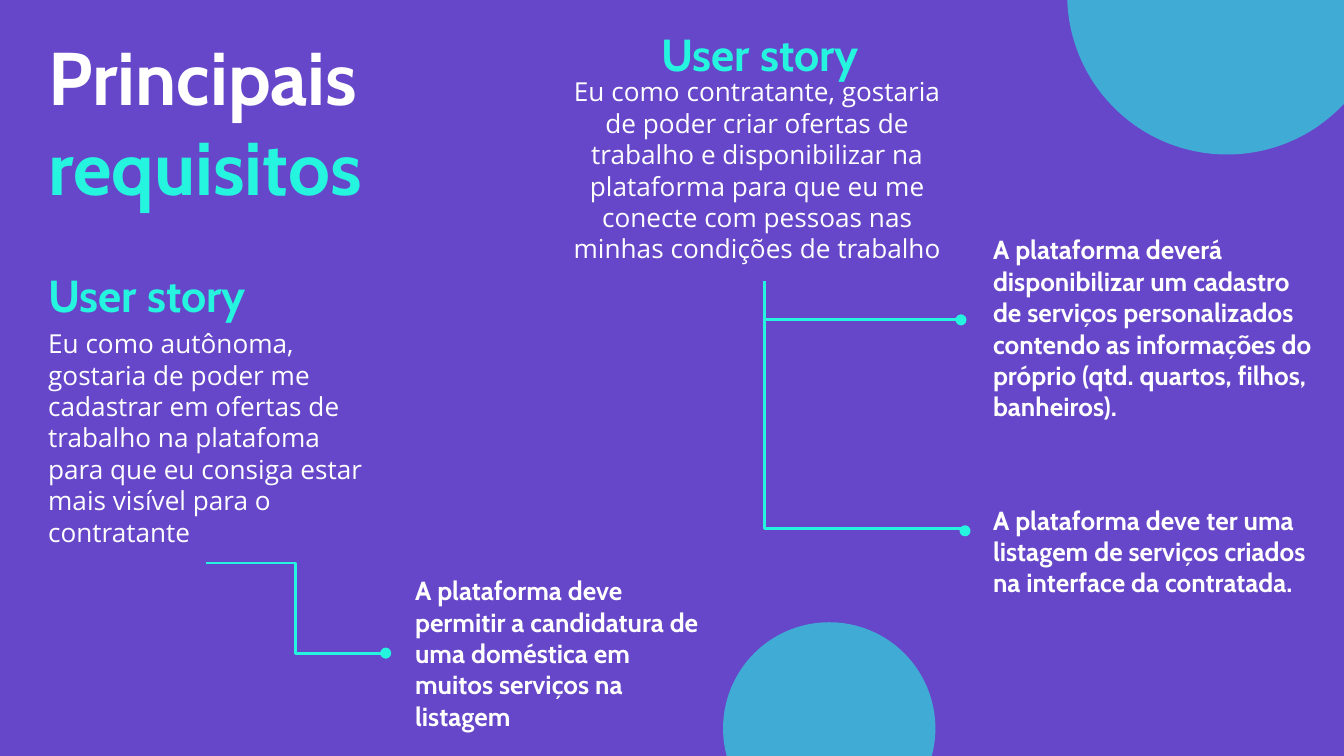
import copy
from dataclasses import dataclass

import pptx
import pptx.dml.color
import pptx.enum.shapes
import pptx.enum.text
import pptx.oxml
import pptx.oxml.ns
import pptx.util
from pptx.enum.text import MSO_ANCHOR, PP_ALIGN

COLUMNS = 100
SLIDE_WIDTH = pptx.util.Inches(10)
SLIDE_HEIGHT = pptx.util.Inches(5.625)


@dataclass(frozen=True)
class Theme:
    background: str = "6747C9"
    accent: str = "25F5DF"
    text: str = "FFFFFF"
    heading_font: str = "Cabin"
    body_font: str = "Open Sans"
    title_size: int = 40
    heading_size: int = 24
    body_size: int = 14
    line_width: float = 1.5
    circle_opacity: int = 58


THEME = Theme()


@dataclass(frozen=True)
class Style:
    font: str
    size: int
    color: str
    bold: bool


TITLE = Style(THEME.heading_font, THEME.title_size, THEME.text, True)
HEADING = Style(THEME.heading_font, THEME.heading_size, THEME.accent, True)
STORY = Style(THEME.body_font, THEME.body_size, THEME.text, False)
REQUIREMENT = Style(THEME.heading_font, THEME.body_size, THEME.text, True)


@dataclass(frozen=True)
class Area:
    column: float
    row: float
    columns: float
    rows: float

    def lengths(self) -> list[int]:
        return [grid(n) for n in (self.column, self.row, self.columns, self.rows)]


@dataclass(frozen=True)
class TextBlock:
    text: str
    area: Area
    style: Style
    alignment: PP_ALIGN = PP_ALIGN.LEFT


@dataclass(frozen=True)
class Branch:
    start: tuple[float, float]
    end: tuple[float, float]
    bend: float = 0.5
    vertical_first: bool = False


CIRCLES = [Area(79.4, -12.3, 23.8, 23.8), Area(53.8, 46.3, 15.8, 15.8)]
TITLE_AREA = Area(2.6, 1.3, 84.4, 6.3)
BLOCKS = [
    TextBlock("User story", Area(44.8, 2.1, 23.5, 3.8), HEADING, PP_ALIGN.CENTER),
    TextBlock(
        "Eu como contratante, gostaria de poder criar ofertas de trabalho e disponibilizar "
        "na plataforma para que eu me conecte com pessoas nas minhas condições de trabalho",
        Area(41.2, 9.3, 30.3, 6.7), STORY, PP_ALIGN.CENTER),
    TextBlock(
        "A plataforma deverá disponibilizar um cadastro de serviços personalizados contendo "
        "as informações do próprio (qtd. quartos, filhos, banheiros).",
        Area(72.9, 22.8, 25.8, 3.2), REQUIREMENT),
    TextBlock(
        "A plataforma deve ter uma listagem de serviços criados na interface da contratada.",
        Area(72.9, 39.4, 25.8, 3.2), REQUIREMENT),
    TextBlock("User story", Area(2.6, 20, 23.5, 3.8), HEADING),
    TextBlock(
        "Eu como autônoma, gostaria de poder me cadastrar em ofertas de trabalho na platafoma "
        "para que eu consiga estar mais visível para o contratante",
        Area(2.6, 29.2, 26.1, 6.7), STORY),
    TextBlock(
        "A plataforma deve permitir a candidatura de uma doméstica em muitos serviços "
        "na listagem",
        Area(29.9, 47, 23.6, 3.2), REQUIREMENT),
]
BRANCHES = [
    Branch((56.9, 23.8), (71.5, 23.8)),
    Branch((56.9, 20.9), (71.8, 39.5), bend=0.99, vertical_first=True),
    Branch((15.3, 41.9), (28.7, 48.6)),
]


def grid(units: float) -> int:
    return round(SLIDE_WIDTH * units / COLUMNS)


def rgb(color: str) -> pptx.dml.color.RGBColor:
    return pptx.dml.color.RGBColor.from_string(color)


def add_element(parent, tag: str, **attributes: str):
    element = pptx.oxml.parse_xml(f"<{tag} {pptx.oxml.ns.nsdecls('a')}/>")
    for name, setting in attributes.items():
        element.set(name, setting)
    parent.append(element)
    return element


def style_run(run, style: Style) -> None:
    run.font.name = style.font
    run.font.size = pptx.util.Pt(style.size)
    run.font.bold = style.bold
    run.font.color.rgb = rgb(style.color)


def draw_circle(slide, area: Area) -> None:
    circle = slide.shapes.add_shape(
        pptx.enum.shapes.MSO_SHAPE.OVAL, *area.lengths())
    circle.shadow.inherit = False
    circle.fill.solid()
    circle.fill.fore_color.rgb = rgb(THEME.accent)
    circle.line.fill.background()
    color = circle._element.spPr.find(".//" + pptx.oxml.ns.qn("a:srgbClr"))
    add_element(color, "a:alpha", val=str(THEME.circle_opacity * 1000))


def draw_title(slide) -> None:
    title = slide.shapes.title
    title.left, title.top, title.width, title.height = TITLE_AREA.lengths()
    frame = title.text_frame
    frame.text = "Principais \vrequisitos"
    frame.vertical_anchor = MSO_ANCHOR.TOP
    frame.auto_size = pptx.enum.text.MSO_AUTO_SIZE.NONE
    frame.margin_left = frame.margin_right = grid(1)
    frame.margin_top = frame.margin_bottom = grid(1)
    paragraph = frame.paragraphs[0]
    paragraph.alignment = PP_ALIGN.LEFT
    for run in paragraph.runs:
        style_run(run, TITLE)
    line_break = paragraph._p.find(pptx.oxml.ns.qn("a:br"))
    line_break.append(copy.deepcopy(paragraph.runs[0]._r.rPr))
    paragraph.runs[1].font.color.rgb = rgb(THEME.accent)


def draw_block(slide, block: TextBlock) -> None:
    frame = slide.shapes.add_textbox(*block.area.lengths()).text_frame
    frame.word_wrap = True
    frame.vertical_anchor = MSO_ANCHOR.MIDDLE
    frame.margin_left = frame.margin_right = grid(1)
    frame.margin_top = frame.margin_bottom = grid(1)
    frame.text = block.text
    paragraph = frame.paragraphs[0]
    paragraph.alignment = block.alignment
    style_run(paragraph.runs[0], block.style)


def draw_branch(slide, branch: Branch) -> None:
    kinds = pptx.enum.shapes.MSO_CONNECTOR
    straight = branch.start[1] == branch.end[1]
    connector = slide.shapes.add_connector(
        kinds.STRAIGHT if straight else kinds.ELBOW,
        *map(grid, branch.start + branch.end))
    connector.line.color.rgb = rgb(THEME.accent)
    connector.line.width = pptx.util.Pt(THEME.line_width)
    properties = connector._element.spPr
    add_element(connector.line._get_or_add_ln(), "a:tailEnd", type="oval")
    add_element(properties, "a:effectLst")
    if not straight:
        adjustments = properties.find(".//" + pptx.oxml.ns.qn("a:avLst"))
        add_element(adjustments, "a:gd", name="adj1",
                    fmla=f"val {round(branch.bend * 100000)}")
    if branch.vertical_first:
        width, height = connector.width, connector.height
        connector.left += (width - height) // 2
        connector.top += (height - width) // 2
        connector.width, connector.height = height, width
        properties.xfrm.set("rot", str(270 * 60000))
        properties.xfrm.set("flipH", "1")


def main() -> None:
    presentation = pptx.Presentation()
    presentation.slide_width = SLIDE_WIDTH
    presentation.slide_height = SLIDE_HEIGHT
    slide = presentation.slides.add_slide(presentation.slide_layouts[5])
    slide.background.fill.solid()
    slide.background.fill.fore_color.rgb = rgb(THEME.background)
    for area in CIRCLES:
        draw_circle(slide, area)
    draw_title(slide)
    for block in BLOCKS:
        draw_block(slide, block)
    for branch in BRANCHES:
        draw_branch(slide, branch)
    presentation.save("out.pptx")


if __name__ == "__main__":
    main()
